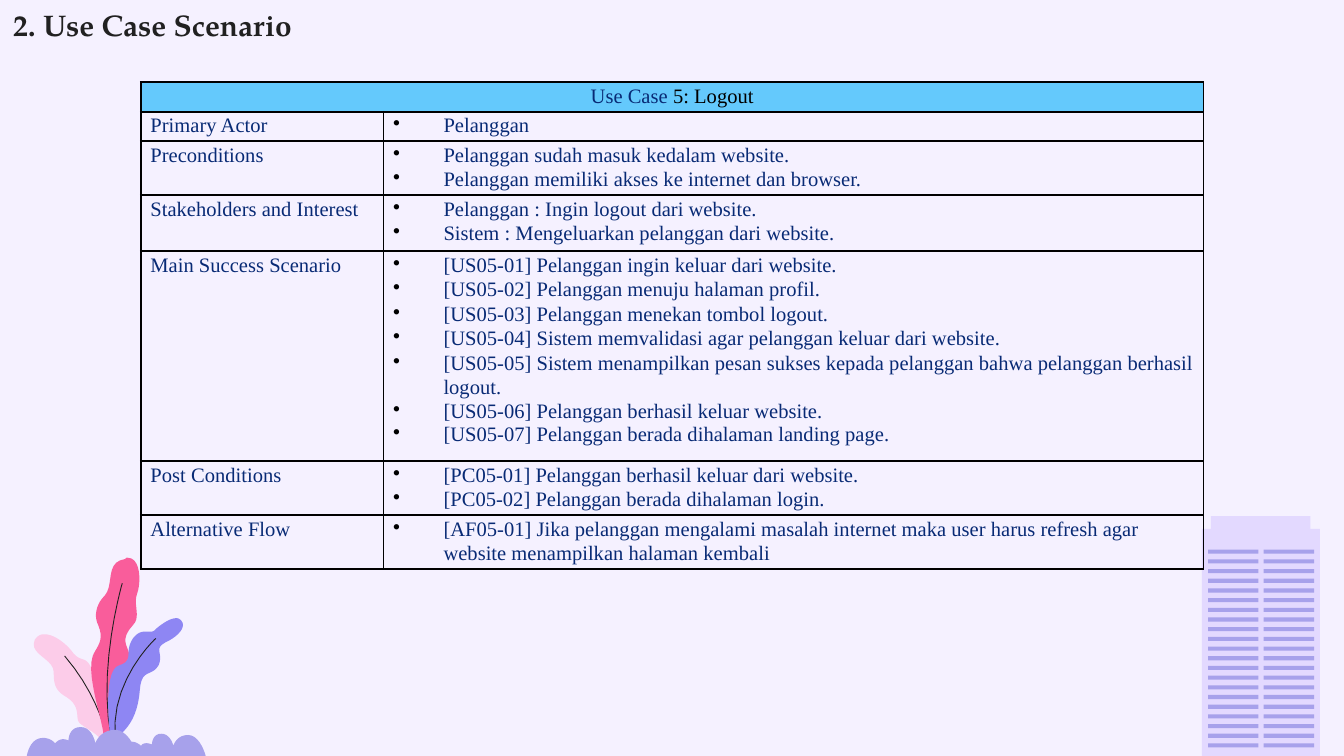
from typing import NamedTuple

from lxml import etree
from pptx import Presentation, util as u
from pptx.dml.color import RGBColor
from pptx.enum import shapes, text
from pptx.oxml import ns

COLORS = {
    "background": "F5F1FF", "building": "E3D9FF", "lilac": "A7A1EB",
    "pale_pink": "FCCCE9", "pink": "F95D9B", "violet": "8E86F3",
    "ink": "212121", "header": "64C9FC", "navy": "082A75", "black": "000000",
}
TITLE_FONT, TABLE_FONT = "TeX Gyre Pagella", "Times New Roman"
CURVE_STEPS = 10


class Box(NamedTuple):
    left: float
    top: float
    width: float
    height: float


class Outline(NamedTuple):
    """A start point, then line ends (2 numbers) or cubic curves (6 numbers)."""
    start: tuple[float, float]
    segments: list[tuple[float, ...]]


class Leaf(NamedTuple):
    color: str
    blade: Outline
    vein: Outline


class Section(NamedTuple):
    heading: str
    height: float
    items: list[str]


LEAVES = [
    Leaf("pale_pink", Outline((23.8, 339.8), [
        (21.6, 339.8, 20.2, 340.6, 18.7, 342.7), (15.1, 350.6, 28.8, 352.8, 28.8, 360),
        (28.8, 366.5, 29.5, 370.1, 36, 373.7), (42.5, 378, 41, 383, 41.8, 385.9),
        (42.5, 388.8, 49.7, 391, 54, 396), (54, 396.7), (59.8, 396.7),
        (59.8, 396.7, 62.6, 371.5, 56.2, 367.9), (50.4, 364.3, 51.1, 361.4, 48.2, 356.4),
        (45.4, 351.4, 42.5, 355, 38.2, 348.5), (34.6, 344.2, 28.8, 339.8, 23.8, 339.8),
    ]), Outline((57.6, 396), [(57.6, 396, 53.3, 373, 34.6, 351.4)])),
    Leaf("pink", Outline((68.4, 298.8), [
        (67.7, 298.8, 67.7, 298.8, 67, 299.5), (56.2, 301, 61.2, 313.2, 56.2, 319),
        (51.1, 324, 50.4, 330.5, 52.6, 334.8), (56.2, 343.4, 51.8, 346.3, 49.7, 351.4),
        (46.1, 361.4, 54.7, 385.2, 55.4, 393.1), (63.4, 393.1),
        (63.4, 393.1, 62.6, 383.8, 66.2, 373), (69.1, 362.9, 61.9, 362.9, 68.4, 353.5),
        (72, 347.8, 61.9, 344.9, 71.3, 334.8), (75.6, 330.5, 71.3, 324, 73.4, 318.2),
        (75.6, 312.5, 75.6, 298.8, 68.4, 298.8),
    ]), Outline((65.5, 312.5), [(65.5, 312.5, 51.8, 359.3, 59.8, 396)])),
    Leaf("violet", Outline((94.3, 331.2), [
        (90.7, 331.2, 85, 335.5, 82.8, 337.7), (82.1, 338.4, 81.4, 338.4, 80.6, 338.4),
        (78.5, 338.4), (76.3, 338.4, 74.2, 338.4, 71.3, 342),
        (67, 348.5, 70.6, 352.1, 67, 355), (64.1, 357.1, 61.9, 355.7, 59.8, 361.4),
        (56.2, 371.5, 59, 393.8, 59, 393.8), (64.1, 393.8),
        (72, 387.4, 74.2, 378, 74.9, 370.1), (75.6, 357.8, 81.4, 362.9, 85, 356.4),
        (87.8, 349.9, 82.1, 347.8, 88.6, 344.2), (95, 341.3, 100.1, 336.2, 97.2, 332.6),
        (96.5, 331.9, 95.8, 331.2, 94.3, 331.2),
    ]), Outline((83.5, 342), [(83.5, 342, 58.3, 365, 61.9, 396)])),
]
BUSHES = [
    Outline((86.4, 393.1), [
        (81.4, 393.1, 81.4, 398.9, 81.4, 398.9), (81.4, 398.9, 79.9, 398.2, 78.5, 398.2),
        (77.8, 398.2, 76.3, 398.2, 75.6, 399.6), (75.6, 399.6, 73.4, 397.4, 70.6, 397.4),
        (64.8, 397.4, 63.4, 405, 63.4, 405), (110.2, 405),
        (110.2, 405, 107.3, 393.8, 100.8, 393.8), (94.3, 393.8, 92.9, 399.6, 92.9, 399.6),
        (92.9, 399.6, 91.4, 393.1, 86.4, 393.1),
    ]),
    Outline((43.2, 389.5), [
        (36.7, 389.5, 36.7, 396.7, 36.7, 396.7), (36.7, 396.7, 35.3, 396, 33.8, 396),
        (32.4, 396, 31, 396.7, 29.5, 398.2), (29.5, 398.2, 27.4, 395.3, 23, 395.3),
        (15.8, 395.3, 14.4, 405, 14.4, 405), (74.2, 405),
        (73.4, 403.2, 69.1, 391, 61.9, 391), (53.3, 391, 51.1, 398.2, 51.1, 398.2),
        (51.1, 398.2, 49.7, 389.5, 43.2, 389.5),
    ]),
]
SECTIONS = [
    Section("Primary Actor", 15.7, ["Pelanggan"]),
    Section("Preconditions", 28.4, [
        "Pelanggan sudah masuk kedalam website.",
        "Pelanggan memiliki akses ke internet dan browser."]),
    Section("Stakeholders and Interest", 30, [
        "Pelanggan : Ingin logout dari website.",
        "Sistem : Mengeluarkan pelanggan dari website."]),
    Section("Main Success Scenario", 111.8, [
        "[US05-01] Pelanggan ingin keluar dari website.",
        "[US05-02] Pelanggan menuju halaman profil.",
        "[US05-03] Pelanggan menekan tombol logout.",
        "[US05-04] Sistem memvalidasi agar pelanggan keluar dari website.",
        "[US05-05] Sistem menampilkan pesan sukses kepada pelanggan bahwa pelanggan berhasil logout.",
        "[US05-06] Pelanggan berhasil keluar website.",
        "[US05-07] Pelanggan berada dihalaman landing page."]),
    Section("Post Conditions", 28.4, [
        "[PC05-01] Pelanggan berhasil keluar dari website.",
        "[PC05-02] Pelanggan berada dihalaman login."]),
    Section("Alternative Flow", 28.4, [
        "[AF05-01] Jika pelanggan mengalami masalah internet maka user harus refresh agar "
        "website menampilkan halaman kembali"]),
]


def rgb(color: str) -> RGBColor:
    return RGBColor.from_string(COLORS[color])


def paint(shape, color: str) -> None:
    shape.shadow.inherit = False
    shape.fill.solid()
    shape.fill.fore_color.rgb = rgb(color)
    shape.line.fill.background()


def draw_block(slide, box: Box, color: str) -> None:
    paint(slide.shapes.add_shape(shapes.MSO_SHAPE.RECTANGLE, *map(u.Pt, box)), color)


def draw_building(slide) -> None:
    draw_block(slide, Box(643.9, 283.4, 63.2, 121.6), "building")
    for left in (647.2, 677):
        for floor in range(21):
            draw_block(slide, Box(left, 294.5 + 5.19 * floor, 27, 2.2), "lilac")
    draw_block(slide, Box(648.7, 276.5, 53.3, 9.4), "building")


def trace(outline: Outline) -> list[tuple[float, float]]:
    """Turn lines and cubic curves into a run of points after the start."""
    points, (x, y) = [], outline.start
    for segment in outline.segments:
        if len(segment) == 2:
            points.append(segment)
        else:
            xs, ys = (x, *segment[::2]), (y, *segment[1::2])
            for step in range(1, CURVE_STEPS + 1):
                t = step / CURVE_STEPS
                weights = ((1 - t) ** 3, 3 * t * (1 - t) ** 2, 3 * t * t * (1 - t), t ** 3)
                points.append(tuple(sum(w * c for w, c in zip(weights, axis)) for axis in (xs, ys)))
        x, y = segment[-2:]
    return points


def draw_outline(slide, outline: Outline, color: str, closed: bool = True) -> None:
    builder = slide.shapes.build_freeform(*map(u.Pt, outline.start))
    builder.add_line_segments([(u.Pt(x), u.Pt(y)) for x, y in trace(outline)], close=closed)
    shape = builder.convert_to_shape()
    paint(shape, color)
    if not closed:
        shape.fill.background()
        shape.line.color.rgb = rgb(color)
        shape.line.width = u.Pt(0.48)


def add_bullet(paragraph) -> None:
    properties = paragraph._p.get_or_add_pPr()
    properties.set("marL", str(u.Pt(27)))
    properties.set("indent", str(u.Pt(-27)))
    bullet_color = etree.SubElement(properties, ns.qn("a:buClr"))
    etree.SubElement(bullet_color, ns.qn("a:srgbClr"), val=COLORS["black"])
    etree.SubElement(properties, ns.qn("a:buChar"), char="•")


def format_cell(cell, fill: str | None = None) -> None:
    cell.margin_left = cell.margin_right = u.Pt(5.2)
    cell.margin_top, cell.margin_bottom = u.Pt(0.7), u.Pt(0)
    properties = cell._tc.get_or_add_tcPr()
    for side in "LRTB":
        border = etree.SubElement(properties, ns.qn(f"a:ln{side}"), w=str(u.Pt(1)))
        solid = etree.SubElement(border, ns.qn("a:solidFill"))
        etree.SubElement(solid, ns.qn("a:srgbClr"), val=COLORS["black"])
    if fill:
        cell.fill.solid()
        cell.fill.fore_color.rgb = rgb(fill)
    else:
        cell.fill.background()


def format_text(paragraph, spacing: float = 1.07) -> None:
    paragraph.line_spacing = spacing
    paragraph.font.name, paragraph.font.size = TABLE_FONT, u.Pt(11)
    paragraph.font.color.rgb = rgb("navy")


def draw_scenario(slide) -> None:
    box = Box(75.4, 44, 569.4, 258.6)
    table = slide.shapes.add_table(len(SECTIONS) + 1, 2, *map(u.Pt, box)).table
    table.first_row = table.horz_banding = False
    table.columns[0].width, table.columns[1].width = u.Pt(130), u.Pt(439.4)
    table.rows[0].height = u.Pt(15.9)
    header = table.cell(0, 0)
    header.merge(table.cell(0, 1))
    for cell in table.rows[0].cells:
        format_cell(cell, "header")
    caption = header.text_frame.paragraphs[0]
    caption.alignment = text.PP_ALIGN.CENTER
    format_text(caption)
    for words, color in (("Use Case ", "navy"), ("5: Logout", "black")):
        run = caption.add_run()
        run.text = words
        run.font.color.rgb = rgb(color)

    for row, section in enumerate(SECTIONS, 1):
        table.rows[row].height = u.Pt(section.height)
        heading, details = table.rows[row].cells
        format_cell(heading)
        format_cell(details)
        heading.text = section.heading
        format_text(heading.text_frame.paragraphs[0])
        details.text = "\n".join(section.items)
        for item in details.text_frame.paragraphs:
            add_bullet(item)
            format_text(item, 0.99 if item.text.startswith("[US05-07]") else 1.07)


def draw_title(slide) -> None:
    frame = slide.shapes.add_textbox(*map(u.Pt, Box(0, 0, 168, 26.6))).text_frame
    frame.word_wrap = True
    title = frame.paragraphs[0]
    title.text = "2. Use Case Scenario"
    title.font.name, title.font.size, title.font.bold = TITLE_FONT, u.Pt(16), True
    title.font.color.rgb = rgb("ink")


def main() -> None:
    deck = Presentation()
    deck.slide_width, deck.slide_height = u.Pt(720), u.Pt(405)
    slide = deck.slides.add_slide(deck.slide_layouts[6])
    slide.background.fill.solid()
    slide.background.fill.fore_color.rgb = rgb("background")
    draw_building(slide)
    for leaf in LEAVES:
        draw_outline(slide, leaf.blade, leaf.color)
        draw_outline(slide, leaf.vein, "ink", closed=False)
    for bush in BUSHES:
        draw_outline(slide, bush, "lilac")
    draw_title(slide)
    draw_scenario(slide)
    deck.save("out.pptx")


if __name__ == "__main__":
    main()
